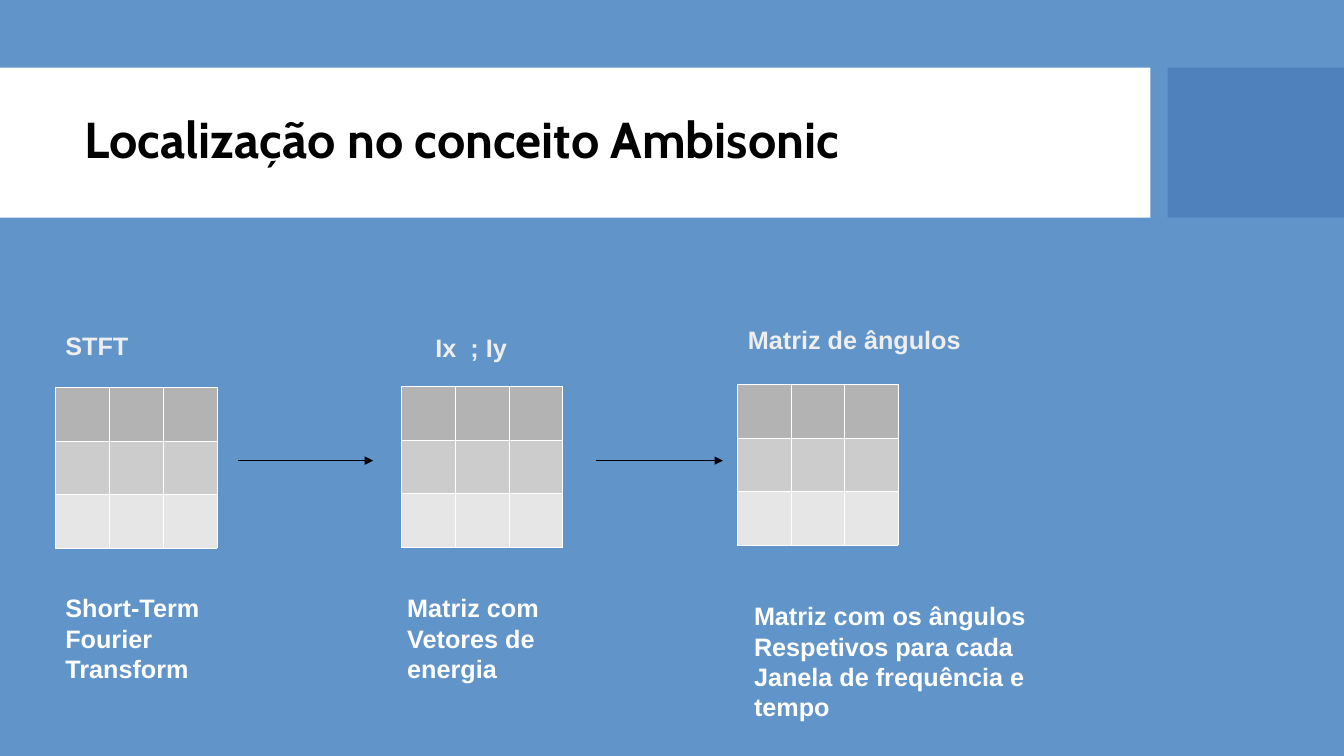
from lxml.etree import SubElement
from pptx import Presentation
from pptx.dml.color import RGBColor
from pptx.enum.shapes import MSO_CONNECTOR, MSO_SHAPE
from pptx.enum.text import MSO_ANCHOR, PP_ALIGN
from pptx.oxml.ns import qn
from pptx.util import Inches, Pt

BACKGROUND = RGBColor(0x61, 0x94, 0xC9)
ACCENT = RGBColor(0x4F, 0x81, 0xBD)
WHITE = RGBColor(0xFF, 0xFF, 0xFF)
BLACK = RGBColor(0x00, 0x00, 0x00)
HEADING = RGBColor(0xEE, 0xEE, 0xEE)
ROW_FILLS = [RGBColor(level, level, level) for level in (0xB3, 0xCC, 0xE6)]

TITLE = "Localização no conceito Ambisonic"
# Each stage: heading and its box, matrix corner, description lines and their box
STAGES = [
    {"heading": "STFT", "heading_box": (0.55, 3.23, 1.18, 0.37),
     "matrix_at": (0.55, 3.84),
     "description": ["Short-Term", "Fourier Transform"],
     "description_box": (0.55, 5.83, 2.18, 0.65)},
    {"heading": "Ix  ; Iy", "heading_box": (4.22, 3.25, 0.98, 0.37),
     "matrix_at": (3.98, 3.83),
     "description": ["Matriz com ", "Vetores de energia"],
     "description_box": (3.94, 5.83, 1.58, 0.93)},
    {"heading": "Matriz de ângulos", "heading_box": (7.32, 3.17, 2.31, 0.37),
     "matrix_at": (7.31, 3.81),
     "description": ["Matriz com os ângulos", "Respetivos para cada ",
                     "Janela de frequência e tempo"],
     "description_box": (7.38, 5.91, 3.48, 0.93)},
]
ARROW_SPANS = [(2.36, 3.7), (5.91, 7.17)]
ARROW_Y = 4.57
BANDS = [((0, 0.67, 11.41, 1.49), WHITE), ((11.58, 0.67, 1.75, 1.49), ACCENT)]
TITLE_BOX = (0.74, 0.82, 10.51, 1.18)
MATRIX_SIDE = 1.6
MATRIX_SIZE = len(ROW_FILLS)


def inches(values):
    """Convert a sequence of numbers to lengths."""
    return [Inches(value) for value in values]


def style(paragraph, font_name, size, color):
    """Set the bold font of a whole paragraph."""
    font = paragraph.font
    font.name, font.size, font.bold = font_name, Pt(size), True
    font.color.rgb = color


def add_band(slide, box, color):
    """Add a plain rectangle of the header."""
    band = slide.shapes.add_shape(MSO_SHAPE.RECTANGLE, *inches(box))
    band.shadow.inherit = False
    band.fill.solid()
    band.fill.fore_color.rgb = color
    band.line.fill.background()


def add_label(slide, lines, box, color):
    """Add a wrapped text box with one paragraph per line."""
    frame = slide.shapes.add_textbox(*inches(box)).text_frame
    frame.word_wrap = True
    frame.text = "\n".join(lines)
    for paragraph in frame.paragraphs:
        style(paragraph, "Arial", 18, color)


def add_cell_borders(cell):
    """Draw a white hairline on all four sides of a cell."""
    properties = cell._tc.get_or_add_tcPr()
    for side in ("a:lnL", "a:lnR", "a:lnT", "a:lnB"):
        border = SubElement(properties, qn(side), w=str(Pt(0.06)))
        fill = SubElement(border, qn("a:solidFill"))
        SubElement(fill, qn("a:srgbClr"), val=str(WHITE))


def add_matrix(slide, corner):
    """Add a square matrix whose rows grow lighter downwards."""
    matrix = slide.shapes.add_table(
        MATRIX_SIZE, MATRIX_SIZE,
        *inches((*corner, MATRIX_SIDE, MATRIX_SIDE))).table
    matrix.first_row = matrix.horz_banding = False
    for row, color in zip(matrix.rows, ROW_FILLS):
        for cell in row.cells:
            add_cell_borders(cell)
            cell.fill.solid()
            cell.fill.fore_color.rgb = color


def add_arrow(slide, start, end):
    """Add a horizontal arrow between two stages."""
    arrow = slide.shapes.add_connector(
        MSO_CONNECTOR.STRAIGHT, *inches((start, ARROW_Y, end, ARROW_Y)))
    arrow.line.color.rgb = BLACK
    arrow.line.width = Pt(0.75)
    SubElement(arrow.line._get_or_add_ln(), qn("a:tailEnd"), type="triangle")
    SubElement(arrow._element.spPr, qn("a:effectLst"))


def add_title(slide):
    """Place the title placeholder over the white band."""
    title = slide.shapes.title
    title.left, title.top, title.width, title.height = inches(TITLE_BOX)
    frame = title.text_frame
    frame.text = TITLE
    frame.vertical_anchor = MSO_ANCHOR.MIDDLE
    paragraph = frame.paragraphs[0]
    paragraph.alignment = PP_ALIGN.LEFT
    paragraph.line_spacing = 0.9
    style(paragraph, "Cabin", 36, BLACK)
    # Bring the title in front of the bands
    slide.shapes._spTree.append(title._element)


presentation = Presentation()
presentation.slide_width, presentation.slide_height = inches((13.33, 7.5))
slide = presentation.slides.add_slide(presentation.slide_layouts[5])
slide.background.fill.solid()
slide.background.fill.fore_color.rgb = BACKGROUND

for band_box, band_color in BANDS:
    add_band(slide, band_box, band_color)
add_title(slide)
for stage in STAGES:
    add_matrix(slide, stage["matrix_at"])
    add_label(slide, [stage["heading"]], stage["heading_box"], HEADING)
    add_label(slide, stage["description"], stage["description_box"], WHITE)
for arrow_start, arrow_end in ARROW_SPANS:
    add_arrow(slide, arrow_start, arrow_end)

presentation.save("out.pptx")
